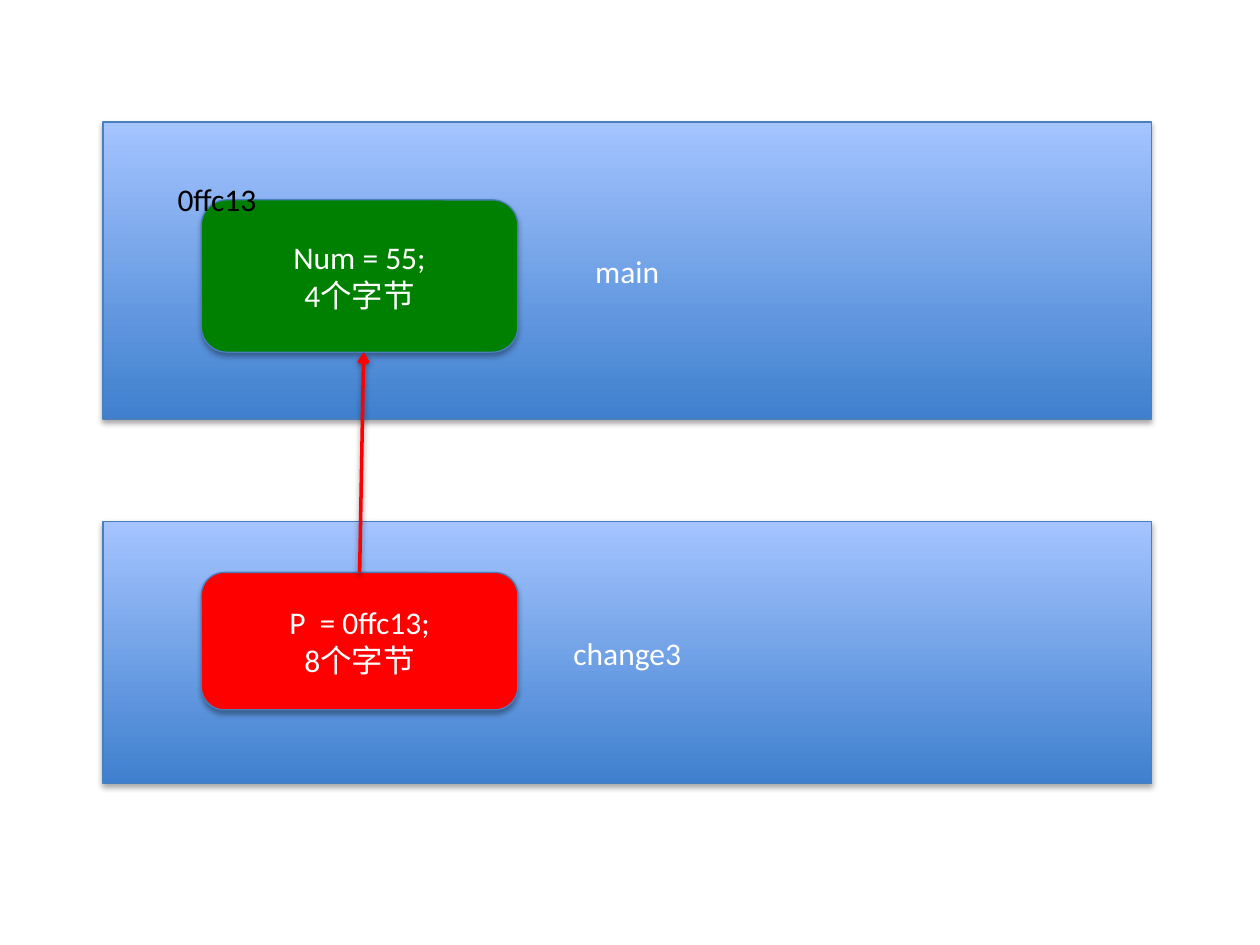
from lxml.etree import SubElement as Sub
from pptx import Presentation
from pptx.dml.color import RGBColor
from pptx.enum.shapes import MSO_CONNECTOR as Link, MSO_SHAPE as Kind
from pptx.enum.text import MSO_ANCHOR as Anchor, MSO_AUTO_SIZE as Fit, PP_ALIGN as Align
from pptx.oxml.ns import qn
from pptx.util import Cm, Pt

EDGE = "4B7EBC"


def paint(hue):
    """Turn a hex string into a colour."""
    return RGBColor.from_string(hue)


def shade(part, alpha=35, dist=23000):
    """Give a shape or connector a soft shadow below it."""
    list_ = Sub(part._element.spPr, qn("a:effectLst"))
    cast = Sub(list_, qn("a:outerShdw"), blurRad="40000", dist=str(dist),
               dir="5400000", rotWithShape="0")
    tint = Sub(cast, qn("a:srgbClr"), val="000000")
    Sub(tint, qn("a:alpha"), val=str(alpha * 1000))


def write(frame, text, hue="FFFFFF", size=18, font="Calibri",
          align=Align.CENTER, anchor=Anchor.MIDDLE, wrap=True):
    """Fill a text frame with one paragraph per line."""
    frame.word_wrap = wrap
    frame.vertical_anchor = anchor
    frame.text = text
    for para in frame.paragraphs:
        para.alignment = align
        for run in para.runs:
            run.font.name = font
            run.font.size = Pt(size)
            run.font.color.rgb = paint(hue)


def block(slide, kind, box, text, *hues):
    """Draw a filled shape; two hues make a gradient from the bottom up."""
    shape = slide.shapes.add_shape(kind, *map(Cm, box))
    if len(hues) > 1:
        shape.fill.gradient()
        shape.fill.gradient_angle = 90
        for stop, hue in zip(shape.fill.gradient_stops, hues):
            stop.color.rgb = paint(hue)
    else:
        shape.fill.solid()
        shape.fill.fore_color.rgb = paint(hues[0])
    shape.line.color.rgb = paint(EDGE)
    shape.line.width = Pt(0.75)
    shade(shape)
    write(shape.text_frame, text)
    return shape


def stack(slide, box, name, text, hue, drop, high):
    """Draw the memory area of a function with its variable inside."""
    left, top = box[:2]
    block(slide, Kind.RECTANGLE, box, name, "3F80CE", "A4C4FF")
    cell = (left + 1.98, top + drop, 6.38, high)
    block(slide, Kind.ROUNDED_RECTANGLE, cell, text, hue)
    return cell


def label(slide, cell, text):
    """Write the address at the top left corner of a cell."""
    left, top = cell[:2]
    box = slide.shapes.add_textbox(Cm(left - 0.73), Cm(top - 0.52), Cm(2.13), Cm(1.02))
    write(box.text_frame, text, hue="000000", align=Align.LEFT,
          anchor=Anchor.TOP, wrap=False)
    box.text_frame.auto_size = Fit.SHAPE_TO_FIT_TEXT


def arrow(slide, low, high):
    """Point from the top of the low cell to the bottom of the high cell."""
    mid = low[0] + low[2] / 2
    ends = (mid, low[1], mid + 0.08, high[1] + high[3])
    line = slide.shapes.add_connector(Link.STRAIGHT, *map(Cm, ends))
    line.line.color.rgb = paint("FF0000")
    line.line.width = Pt(2)
    Sub(line.line._get_or_add_ln(), qn("a:tailEnd"), type="arrow")
    shade(line, alpha=38, dist=20000)


def main():
    """Build the slide and save it."""
    deck = Presentation()
    deck.slide_width, deck.slide_height = Cm(25.4), Cm(19.05)
    slide = deck.slides.add_slide(deck.slide_layouts[6])
    num = stack(slide, (2.08, 2.46, 21.13, 5.99), "main",
                "Num = 55;\n4个字节", "008000", 1.57, 3.07)
    label(slide, num, "0ffc13")
    ptr = stack(slide, (2.08, 10.52, 21.13, 5.28), "change3",
                "P  = 0ffc13;\n8个字节", "FF0000", 1.02, 2.77)
    arrow(slide, ptr, num)
    deck.save("out.pptx")


if __name__ == "__main__":
    main()
